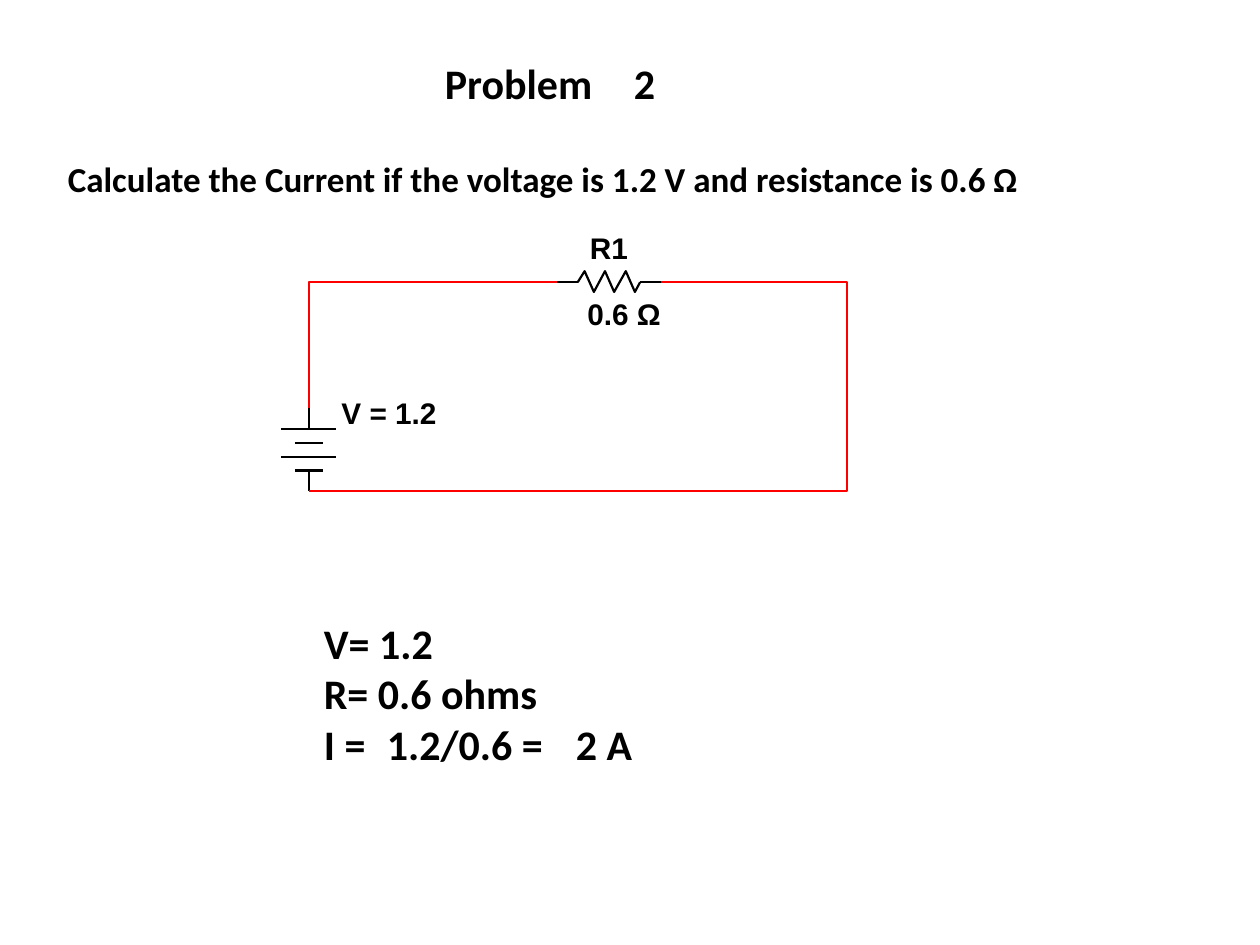
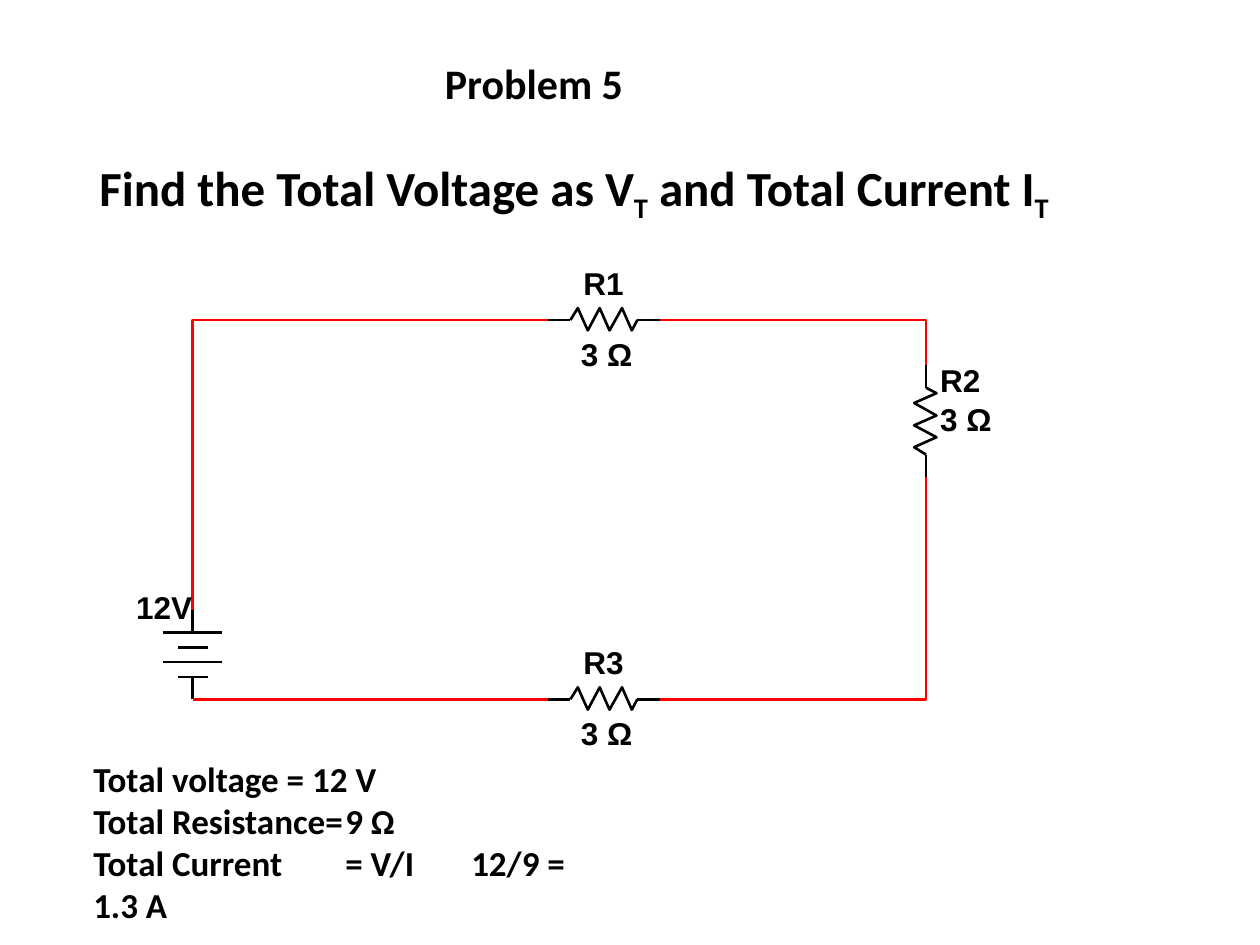
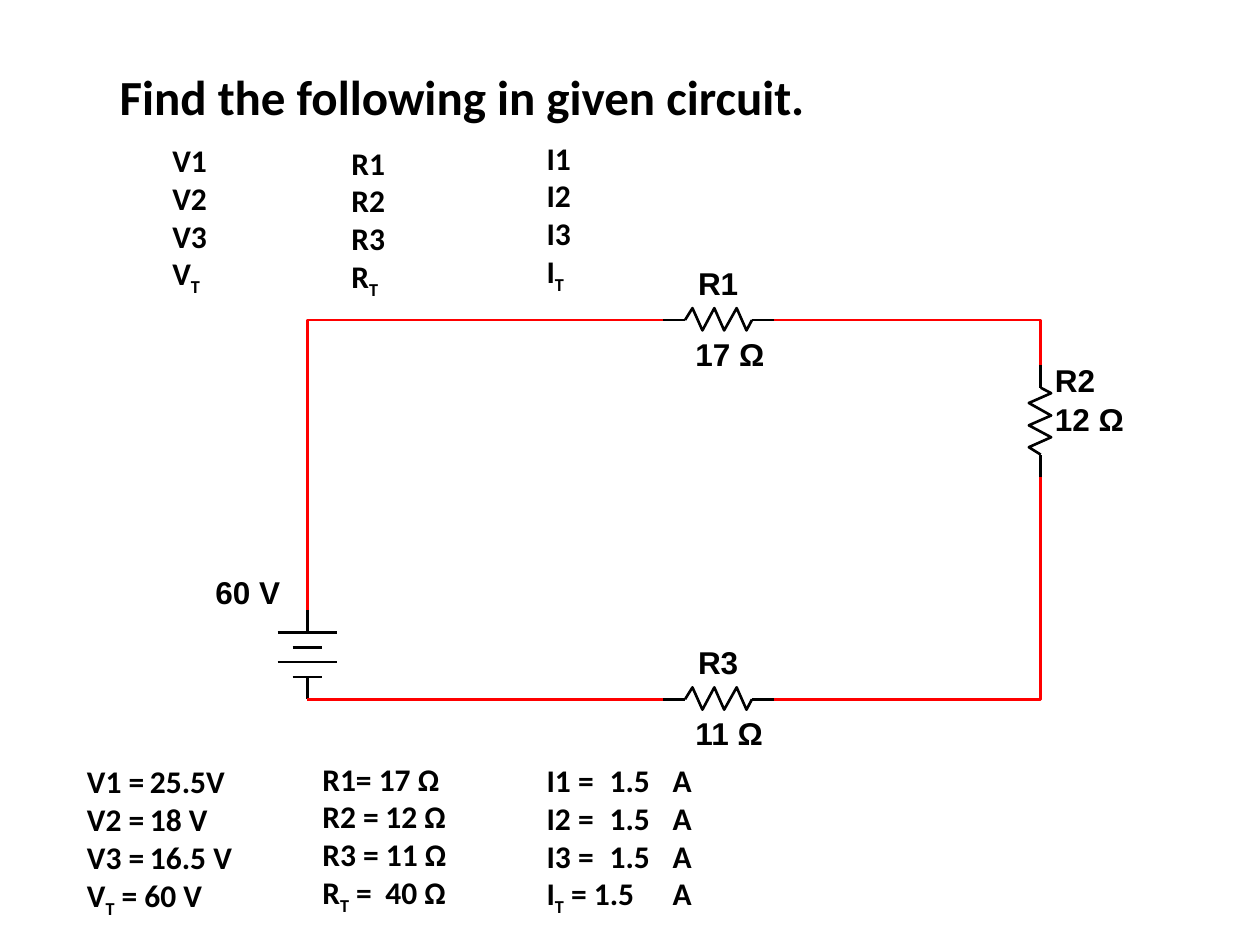
from lxml import etree
from pptx import Presentation
from pptx import util as u
from pptx.dml.color import RGBColor
from pptx.enum import shapes, text
from pptx.oxml import ns

SLIDE_WIDTH = u.Inches(10)
SLIDE_HEIGHT = u.Inches(7.5)
CELL = SLIDE_WIDTH / 100
COLORS = {"ink": "000000", "wire": "FF0000"}
BODY_FONT = "Calibri"
LABEL_FONT = "Arial"
ZIGZAG = [(0, 0), (0.5, 0.8), (1.17, -0.7), (1.97, 0.8),
          (2.63, -0.7), (3.47, 0.8), (4.13, -0.7), (4.5, 0)]
LEAD = 1.5
RESISTOR_LENGTH = 7.5
BATTERY_LENGTH = 6


def cells(*values):
    return [round(value * CELL) for value in values]


def place(shape, column, row, columns, rows):
    shape.left, shape.top, shape.width, shape.height = cells(column, row, columns, rows)


def format_paragraph(paragraph, tabs):
    paragraph.alignment = text.PP_ALIGN.LEFT
    paragraph.space_before = u.Pt(0)
    properties = paragraph._p.get_or_add_pPr()
    properties.set("marL", "0")
    properties.set("indent", "0")
    etree.SubElement(properties, ns.qn("a:buNone"))
    if tabs:
        stops = etree.SubElement(properties, ns.qn("a:tabLst"))
        for position in tabs:
            etree.SubElement(stops, ns.qn("a:tab"), pos=str(cells(position)[0]), algn="l")


def write(shape, lines, size=18, font=BODY_FONT, tabs=(), inset=True, wrap=True):
    frame = shape.text_frame
    frame.auto_size = text.MSO_AUTO_SIZE.NONE
    frame.word_wrap = wrap
    frame.vertical_anchor = text.MSO_ANCHOR.TOP
    if not inset:
        frame.margin_left = frame.margin_right = 0
        frame.margin_top = frame.margin_bottom = 0
    for index, line in enumerate(lines):
        paragraph = frame.add_paragraph() if index else frame.paragraphs[0]
        format_paragraph(paragraph, tabs)
        for part, piece in enumerate(line.split("|")):
            if not piece:
                continue
            run = paragraph.add_run()
            run.text = piece
            run.font.name = font
            run.font.size = u.Pt(size)
            run.font.bold = True
            run.font.color.rgb = RGBColor.from_string(COLORS["ink"])
            if part % 2:
                run._r.get_or_add_rPr().set("baseline", "-25000")


def add_text(slide, box, lines, **style):
    shape = slide.shapes.add_textbox(*cells(*box))
    write(shape, lines, **style)


def add_slide(presentation, title, title_box, answers, answer_box, title_style, answer_style):
    slide = presentation.slides.add_slide(presentation.slide_layouts[1])
    content = ((slide.shapes.title, title_box, [title], title_style),
               (slide.placeholders[1], answer_box, answers, answer_style))
    for shape, box, lines, style in content:
        place(shape, *box)
        write(shape, lines, **style)
    return slide


def add_label(slide, column, row, caption, unit):
    add_text(slide, (column, row, 6.2, 3), [caption],
             size=18 if unit > 1.1 else 17, font=LABEL_FONT, inset=False, wrap=False)


def draw_path(slide, points, unit, color="ink"):
    points = [cells(*point) for point in points]
    if len(points) == 2:
        shape = slide.shapes.add_connector(shapes.MSO_CONNECTOR.STRAIGHT, *points[0], *points[1])
        etree.SubElement(shape._element.spPr, ns.qn("a:effectLst"))
    else:
        builder = slide.shapes.build_freeform(*points[0])
        builder.add_line_segments(points[1:], close=False)
        shape = builder.convert_to_shape()
        shape.fill.background()
        shape.shadow.inherit = False
    shape.line.color.rgb = RGBColor.from_string(COLORS[color])
    shape.line.width = u.Pt(1.5 if unit > 1.1 else 1.25)


def add_resistor(slide, column, row, unit, name, value, vertical=False):
    length = RESISTOR_LENGTH * unit

    def point(along, side):
        if vertical:
            return column - side * unit, row + length - along * unit
        return column + along * unit, row - side * unit

    end = RESISTOR_LENGTH
    draw_path(slide, [point(LEAD + along, side) for along, side in ZIGZAG], unit)
    draw_path(slide, [point(0, 0), point(LEAD, 0)], unit)
    draw_path(slide, [point(end - LEAD, 0), point(end, 0)], unit)
    if vertical:
        captions = (name, 0.95, -0.3), (value, 0.95, 2.3)
    else:
        captions = (name, 2.37, -3.8), (value, 2.2, 1)
    for caption, across, down in captions:
        add_label(slide, column + across * unit, row + down * unit, caption, unit)


def add_battery(slide, column, bottom, unit):
    top = bottom - BATTERY_LENGTH * unit
    for plate, half in enumerate((2, 1, 2, 1)):
        row = top + (LEAD + plate) * unit
        draw_path(slide, [(column - half * unit, row), (column + half * unit, row)], unit)
    for row in (top, bottom - LEAD * unit):
        draw_path(slide, [(column, row), (column, row + LEAD * unit)], unit)
    return top


def add_single_circuit(slide):
    unit, left, top, right, bottom, start = 1.1, 24.5, 22.4, 67.2, 39, 44.2
    battery_top = add_battery(slide, left, bottom, unit)
    add_resistor(slide, start, top, unit, "R1", "0.6 Ω")
    add_label(slide, 27.1, 31.3, "V = 1.2", unit)
    end = start + RESISTOR_LENGTH * unit
    draw_path(slide, [(start, top), (left, top), (left, battery_top)], unit, "wire")
    draw_path(slide, [(end, top), (right, top), (right, bottom), (left, bottom)], unit, "wire")


def add_series_circuit(slide, left, values):
    unit, top, bottom = 1.18, 25.4, 55.5
    right, start, drop = left + 58.2, left + 28.2, 29
    length = RESISTOR_LENGTH * unit
    end = start + length
    battery_top = add_battery(slide, left, bottom, unit)
    add_resistor(slide, start, top, unit, "R1", values[0])
    add_resistor(slide, right, drop, unit, "R2", values[1], vertical=True)
    add_resistor(slide, start, bottom, unit, "R3", values[2])
    wires = [[(start, top), (left, top), (left, battery_top)],
             [(end, top), (right, top), (right, drop)],
             [(right, drop + length), (right, bottom), (end, bottom)],
             [(start, bottom), (left, bottom)]]
    for wire in wires:
        draw_path(slide, wire, unit, "wire")
    return unit


def add_problem_two(presentation):
    slide = add_slide(presentation, "Problem\t2", (34.3, 4.1, 60, 5),
                      ["V= 1.2", "R= 0.6 ohms", "I =\t1.2/0.6 =\t2 A"], (24.7, 48.5, 47.4, 17.2),
                      {"size": 24, "tabs": (13.1,)}, {"size": 24, "tabs": (6.4, 20.2)})
    add_single_circuit(slide)
    add_text(slide, (4.4, 12, 79.7, 4.4),
             ["Calculate the Current\tif the voltage is 1.2 V and resistance is 0.6 Ω"],
             size=20, tabs=(26.3,))


def add_problem_five(presentation):
    slide = add_slide(presentation, "Problem 5", (34.3, 4.1, 60, 5),
                      ["Total voltage = 12 V", "Total Resistance=\t9 Ω",
                       "Total Current\t= V/I\t12/9 =\t1.3 A"], (6.4, 59.6, 39.9, 11.1),
                      {"size": 24}, {"size": 20, "tabs": (16.2, 21, 23.1, 31.6)})
    unit = add_series_circuit(slide, 15.3, ["3 Ω"] * 3)
    add_label(slide, 10.8, 46.7, "12V", unit)
    add_text(slide, (6.9, 12, 78.7, 5.7),
             ["Find the Total Voltage as V|T| and Total Current I|T|"], size=28, wrap=False)


def add_full_solution(presentation):
    slide = add_slide(presentation, "Find the following in given circuit.", (8.5, 4.8, 57.9, 5.7),
                      ["V1 =\t25.5V", "V2 =\t18 V", "V3 =\t16.5 V", "V|T| = 60 V"],
                      (5.9, 60, 15.5, 13.1), {"size": 28, "wrap": False}, {"tabs": (6,)})
    unit = add_series_circuit(slide, 24.4, ["17 Ω", "12 Ω", "11 Ω"])
    add_label(slide, 17.1, 45.5, "60 V", unit)
    for quantity, column, row in (("V", 12.7, 10.7), ("R", 26.9, 10.9), ("I", 42.4, 10.5)):
        add_text(slide, (column, row, 5.4, 13.1),
                 [quantity + index for index in ("1", "2", "3", "|T|")], wrap=False)
    add_text(slide, (24.6, 59.8, 13.2, 13.1),
             ["R1= 17 Ω", "R2 =\t12 Ω", "R3 = 11 Ω", "R|T| =\t40 Ω"], tabs=(5.5,))
    add_text(slide, (42.4, 59.9, 14, 13.1),
             [f"I{index} =\t1.5\tA" for index in (1, 2, 3)] + ["I|T| = 1.5\tA"],
             tabs=(4.9, 9.2))


def main():
    presentation = Presentation()
    presentation.slide_width = SLIDE_WIDTH
    presentation.slide_height = SLIDE_HEIGHT
    add_problem_two(presentation)
    add_problem_five(presentation)
    add_full_solution(presentation)
    presentation.save("out.pptx")


if __name__ == "__main__":
    main()
